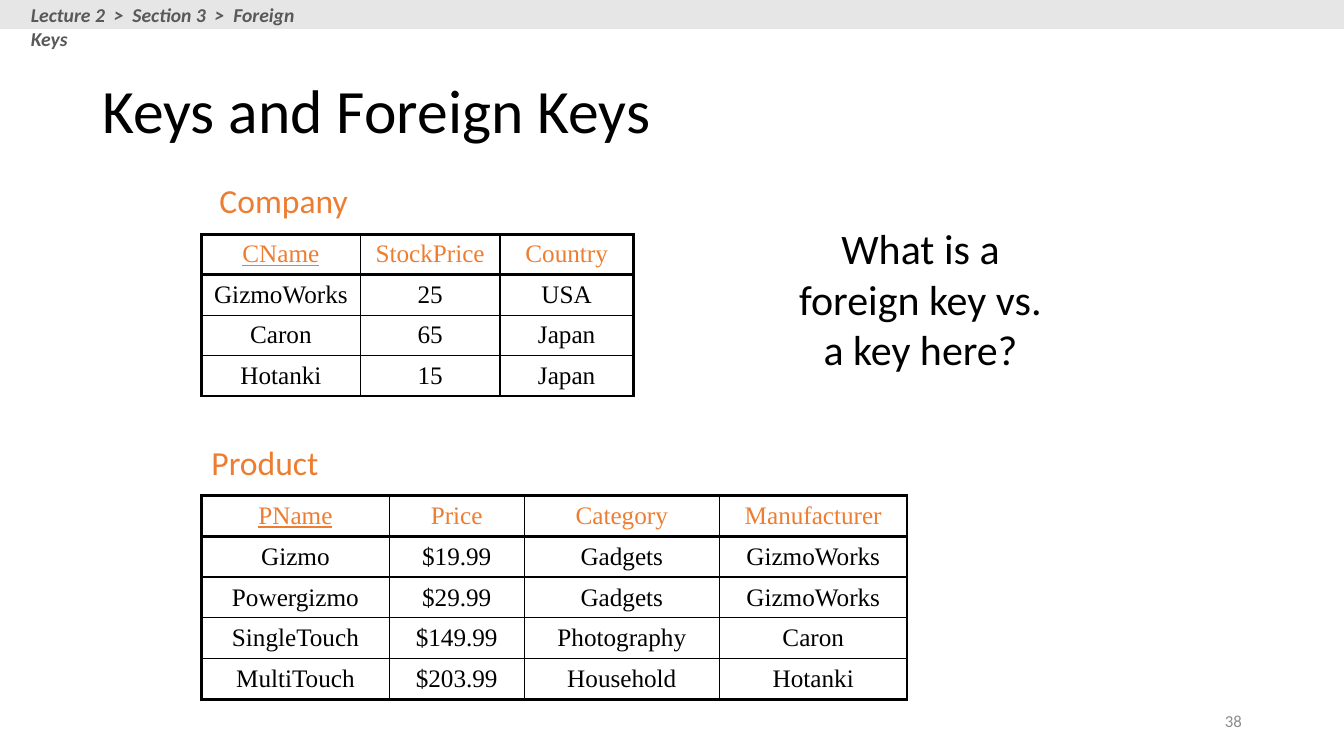
from lxml.etree import SubElement
from pptx import Presentation
from pptx.dml.color import RGBColor
from pptx.enum.shapes import MSO_SHAPE
from pptx.enum.text import MSO_ANCHOR, PP_ALIGN
from pptx.oxml.ns import qn
from pptx.util import Cm, Pt

COLORS = {
    "text": "000000",
    "accent": "ED7D31",
    "bar": "E7E6E6",
    "breadcrumb": "595959",
    "number": "8C8C8C",
    "cell": "FFFFFF",
}
THICK, THIN = Pt(2.25), Pt(1)

COMPANY = [
    ["CName", "StockPrice", "Country"],
    ["GizmoWorks", "25", "USA"],
    ["Caron", "65", "Japan"],
    ["Hotanki", "15", "Japan"],
]
PRODUCT = [
    ["PName", "Price", "Category", "Manufacturer"],
    ["Gizmo", "$19.99", "Gadgets", "GizmoWorks"],
    ["Powergizmo", "$29.99", "Gadgets", "GizmoWorks"],
    ["SingleTouch", "$149.99", "Photography", "Caron"],
    ["MultiTouch", "$203.99", "Household", "Hotanki"],
]


def rgb(name):
    return RGBColor.from_string(COLORS[name])


def style(p, font, size, color, align):
    p.font.name, p.font.size = font, Pt(size)
    p.font.color.rgb = rgb(color)
    p.alignment = align


def add_text(slide, text, box, size, color="text", align=PP_ALIGN.LEFT,
             anchor=MSO_ANCHOR.TOP, wrap=True):
    tf = slide.shapes.add_textbox(*map(Cm, box)).text_frame
    tf.word_wrap, tf.vertical_anchor = wrap, anchor
    p = tf.paragraphs[0]
    p.text = text
    style(p, "Calibri", size, color, align)
    return p


def add_bar(slide, box):
    sp = slide.shapes.add_shape(MSO_SHAPE.RECTANGLE, *map(Cm, box))
    sp.shadow.inherit = False
    sp.fill.solid()
    sp.fill.fore_color.rgb = rgb("bar")
    sp.line.fill.background()


def set_borders(cell, widths):
    tc_pr = cell._tc.get_or_add_tcPr()
    for side, width in widths.items():
        ln = SubElement(tc_pr, qn(f"a:ln{side}"), w=str(width))
        fill = SubElement(ln, qn("a:solidFill"))
        SubElement(fill, qn("a:srgbClr"), val=COLORS["text"])


def add_relation(slide, rows, left, top, col_widths, row_height):
    """Table with a thick frame, a thick rule under the header and the key underlined."""
    n_rows, n_cols = len(rows), len(col_widths)
    table = slide.shapes.add_table(
        n_rows, n_cols, Cm(left), Cm(top),
        Cm(sum(col_widths)), Cm(row_height * n_rows)).table
    table.first_row = table.horz_banding = False
    for col, width in zip(table.columns, col_widths):
        col.width = Cm(width)
    for i, values in enumerate(rows):
        table.rows[i].height = Cm(row_height)
        for j, value in enumerate(values):
            cell = table.cell(i, j)
            set_borders(cell, {
                "L": THICK if j == 0 else THIN,
                "R": THICK if j == n_cols - 1 else THIN,
                "T": THICK if i <= 1 else THIN,
                "B": THICK if i in (0, n_rows - 1) else THIN,
            })
            cell.fill.solid()
            cell.fill.fore_color.rgb = rgb("cell")
            cell.vertical_anchor = MSO_ANCHOR.MIDDLE
            p = cell.text_frame.paragraphs[0]
            p.text = value
            style(p, "Times New Roman", 18, "text" if i else "accent", PP_ALIGN.CENTER)
            p.font.underline = i == j == 0


def main():
    prs = Presentation()
    prs.slide_width, prs.slide_height = Cm(33.87), Cm(19.05)
    slide = prs.slides.add_slide(prs.slide_layouts[6])

    # Breadcrumb bar
    add_bar(slide, (0, 0, 33.87, 0.73))
    p = add_text(slide, "Lecture 2  >  Section 3  >  Foreign Keys",
                 (0.53, -0.05, 8.05, 0.86), 14, "breadcrumb")
    p.font.bold = p.font.italic = True

    # Title
    p = add_text(slide, "Keys and Foreign Keys", (2.33, 1.01, 29.21, 3.68), 44,
                 anchor=MSO_ANCHOR.MIDDLE)
    p.line_spacing = 0.9

    # Relations with their names
    add_text(slide, "Company", (5.28, 4.42, 3.81, 1.27), 24, "accent", wrap=False)
    add_relation(slide, COMPANY, 5.08, 5.9, [4, 3.52, 3.36], 1.02)
    add_text(slide, "Product", (5.08, 11, 3.23, 1.27), 24, "accent", wrap=False)
    add_relation(slide, PRODUCT, 5.08, 12.48, [4.73, 3.4, 4.92, 4.73], 1.03)

    # Question
    add_text(slide, "What is a foreign key vs. a key here?",
             (19.81, 5.49, 6.78, 4.11), 30, align=PP_ALIGN.CENTER)

    # Slide number
    add_text(slide, "38", (23.93, 17.65, 7.62, 1.02), 12, "number",
             PP_ALIGN.RIGHT, MSO_ANCHOR.MIDDLE)

    prs.save("out.pptx")


main()
